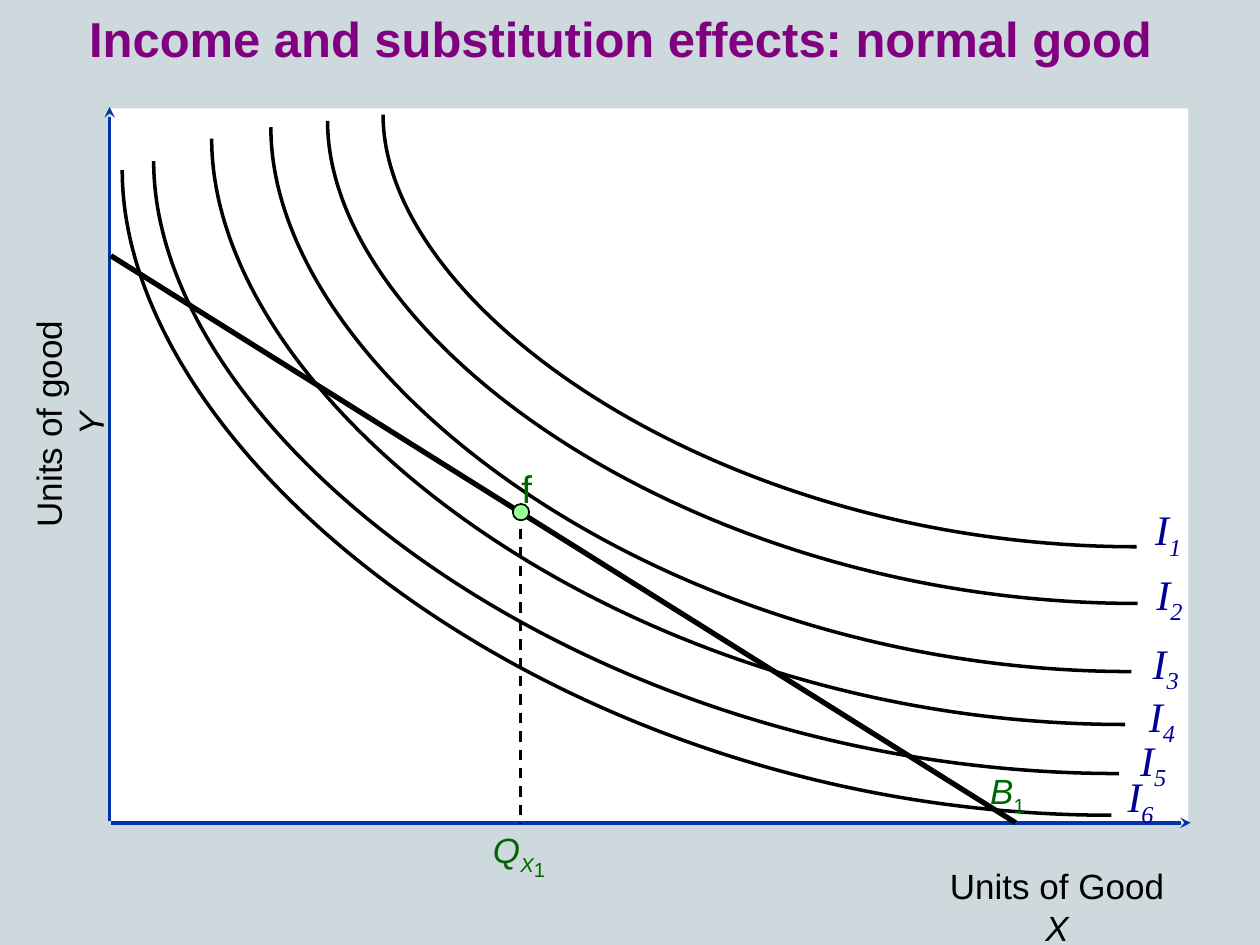
from lxml.etree import SubElement
from pptx import Presentation
from pptx.dml.color import RGBColor
from pptx.enum.dml import MSO_LINE
from pptx.enum.shapes import MSO_CONNECTOR, MSO_SHAPE
from pptx.enum.text import MSO_ANCHOR, MSO_AUTO_SIZE, PP_ALIGN
from pptx.oxml.ns import qn
from pptx.util import Inches, Pt

COLORS = {
    "back": "CED9DE", "plot": "FFFFFF", "axis": "0035AA", "ink": "000000",
    "curve": "000099", "point": "006600", "dot": "99FF99", "title": "800080",
}
FRAME = {
    "auto_size": MSO_AUTO_SIZE.NONE, "vertical_anchor": MSO_ANCHOR.TOP,
    "margin_left": Inches(0.1), "margin_right": Inches(0.1),
    "margin_top": Inches(0.05), "margin_bottom": Inches(0.05),
}
CURVES = [
    (3.04, 0.91, 9.02, 4.34, 9.07, 3.95),
    (2.60, 0.96, 9.03, 4.79, 9.08, 4.46),
    (2.15, 1.01, 8.98, 5.33, 9.05, 5.01),
    (1.68, 1.10, 8.93, 5.75, 9.02, 5.43),
    (1.22, 1.28, 8.88, 6.14, 8.95, 5.78),
    (0.97, 1.35, 8.82, 6.47, 8.85, 6.07),
]
BEND = 0.55


def color(name):
    return RGBColor.from_string(COLORS[name])


def apply(target, values):
    for name, value in values.items():
        setattr(target, name, value)


class Board:
    def __init__(self, slide):
        self.slide = slide
        self.shapes = slide.shapes
        slide.background.fill.solid()
        slide.background.fill.fore_color.rgb = color("back")

    def stroke(self, line, tint, width):
        line.color.rgb = color(tint)
        line.width = Pt(width)

    def letter(self, box, parts, tint, size, face="Arial", align=PP_ALIGN.LEFT, wrap=False):
        frame = box.text_frame
        apply(frame, FRAME | {"word_wrap": wrap})
        para = frame.paragraphs[0]
        para.alignment = align
        for words, style, base in parts:
            run = para.add_run()
            run.text = words
            apply(run.font, {"name": face, "size": Pt(size)} | style)
            run.font.color.rgb = color(tint)
            if base:
                run._r.get_or_add_rPr().set("baseline", str(base * 1000))
        return para

    def title(self, words, area, size):
        box = self.shapes.title
        apply(box, dict(zip(("left", "top", "width", "height"), map(Inches, area))))
        para = self.letter(box, [(words, {"bold": True}, 0)], "title", size,
                           align=PP_ALIGN.CENTER, wrap=True)
        props = para.runs[0]._r.get_or_add_rPr()
        glow = props.makeelement(qn("a:effectLst"))
        props.find(qn("a:solidFill")).addnext(glow)
        shade = SubElement(glow, qn("a:outerShdw"), dist="28575", dir="2700000")
        SubElement(shade, qn("a:srgbClr"), val=COLORS["ink"])

    def text(self, area, parts, tint, size, turn=0, **style):
        box = self.shapes.add_textbox(*map(Inches, area))
        box.rotation = turn
        self.letter(box, parts, tint, size, **style)

    def shape(self, kind, area, fill, edge=None):
        item = self.shapes.add_shape(kind, *map(Inches, area))
        item.shadow.inherit = False
        item.fill.solid()
        item.fill.fore_color.rgb = color(fill)
        if edge:
            self.stroke(item.line, edge, 1)
        else:
            item.line.fill.background()

    def line(self, ends, tint, width, arrow=False, dash=None):
        item = self.shapes.add_connector(MSO_CONNECTOR.STRAIGHT, *map(Inches, ends))
        self.stroke(item.line, tint, width)
        if dash:
            item.line.dash_style = dash
        props = item._element.spPr
        if arrow:
            SubElement(props.find(qn("a:ln")), qn("a:tailEnd"), type="stealth")
        SubElement(props, qn("a:effectLst"))

    def free(self, points, width, curved=False):
        spots = [tuple(map(Inches, point)) for point in points]
        maker = self.shapes.build_freeform(*spots[0])
        maker.add_line_segments(spots[1:], close=False)
        item = maker.convert_to_shape()
        item.shadow.inherit = False
        item.fill.background()
        self.stroke(item.line, "ink", width)
        if curved:
            route = item._element.spPr.find(".//" + qn("a:path"))
            steps = route.findall(qn("a:lnTo"))
            bend = SubElement(route, qn("a:cubicBezTo"))
            for step in steps:
                bend.append(step[0])
                route.remove(step)

    def curve(self, left, top, right, low):
        self.free([
            (right, low),
            (right - BEND * (right - left), low),
            (left, top + (1 - BEND) * (low - top)),
            (left, top),
        ], 2, curved=True)


def main():
    deck = Presentation()
    deck.slide_width, deck.slide_height = Inches(10), Inches(7.5)
    board = Board(deck.slides.add_slide(deck.slide_layouts[5]))
    slant = {"italic": True}
    center = {"align": PP_ALIGN.CENTER}
    label = center | {"wrap": True}

    board.shape(MSO_SHAPE.RECTANGLE, (0.88, 0.86, 8.55, 5.67), "plot")
    board.line((0.87, 6.52, 0.87, 0.85), "axis", 2, arrow=True)
    board.line((0.88, 6.53, 9.45, 6.53), "axis", 2, arrow=True)
    board.text((-0.62, 3.15, 2, 0.43), [("Units of good ", {}, 0), ("Y", slant, 0)],
               "ink", 20, turn=270, **label)

    for rank, (left, top, right, low, x, y) in enumerate(CURVES, 1):
        board.curve(left, top, right, low)
        board.text((x, y, 0.42, 0.5), [("I", slant, 0), (str(rank), slant, -25)],
                   "curve", 24, face="Times New Roman")

    board.line((4.13, 4.05, 4.13, 6.54), "ink", 1.5, dash=MSO_LINE.DASH)
    board.text((7.76, 6.06, 0.49, 0.43), [("B", slant, 0), ("1", {}, -25)], "point", 20)
    board.free([(0.88, 2.03), (8.06, 6.53)], 3)
    board.text((4.04, 3.64, 0.29, 0.47), [("f", {}, 0)], "point", 22)
    board.shape(MSO_SHAPE.OVAL, (4.07, 4, 0.13, 0.13), "dot", "ink")
    board.text((3.8, 6.53, 0.64, 0.43),
               [("Q", slant, 0), ("X", slant, -25), ("1", {}, -40)], "point", 20, **center)
    board.title("Income and substitution effects: normal good", (0, 0.02, 9.85, 0.57), 28)
    board.text((7.39, 6.81, 2, 0.43), [("Units of Good ", {}, 0), ("X", slant, 0)],
               "ink", 20, **label)
    deck.save("out.pptx")


if __name__ == "__main__":
    main()
